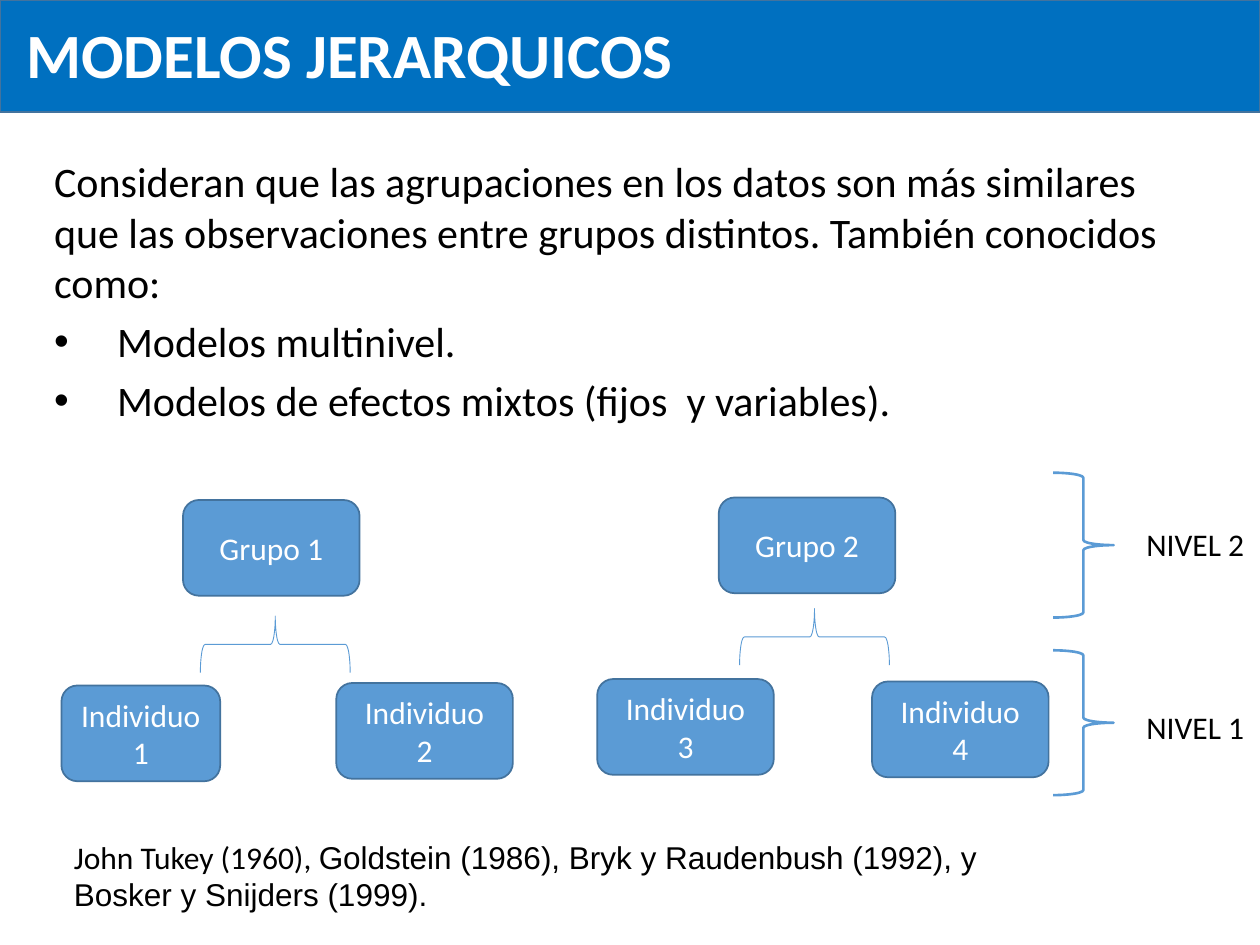
from dataclasses import dataclass
from typing import NamedTuple

from lxml import etree
from pptx import Presentation
from pptx.dml.color import RGBColor
from pptx.enum.shapes import MSO_SHAPE
from pptx.enum.text import MSO_ANCHOR, PP_ALIGN
from pptx.oxml.ns import qn
from pptx.util import Cm, Pt

RECT = MSO_SHAPE.RECTANGLE
ROUNDED = MSO_SHAPE.ROUNDED_RECTANGLE
BRACE = MSO_SHAPE.RIGHT_BRACE
MIDDLE, TOP = MSO_ANCHOR.MIDDLE, MSO_ANCHOR.TOP
CENTER, LEFT = PP_ALIGN.CENTER, PP_ALIGN.LEFT


@dataclass(frozen=True)
class Theme:
    band: RGBColor = RGBColor(0x00, 0x70, 0xC0)
    node: RGBColor = RGBColor(0x5B, 0x9B, 0xD5)
    edge: RGBColor = RGBColor(0x43, 0x73, 0x9E)
    light: RGBColor = RGBColor(0xFF, 0xFF, 0xFF)
    dark: RGBColor = RGBColor(0x00, 0x00, 0x00)
    title: Pt = Pt(36)
    body: Pt = Pt(24)
    label: Pt = Pt(18)
    font: str = "Calibri"
    reference_font: str = "Arial"


THEME = Theme()


class Box(NamedTuple):
    left: float
    top: float
    width: float
    height: float

    def inner(self, dx, dy, width, height):
        return Box(self.left + dx, self.top + dy, width, height)

    def lengths(self):
        return [Cm(value) for value in self]


def apply_format(target, values):
    for name, value in values.items():
        setattr(target, name, value)


def add_run(paragraph, wording, size, color, font=THEME.font, bold=False):
    run = paragraph.add_run()
    run.text = wording
    apply_format(run.font, {"name": font, "size": size, "bold": bold})
    run.font.color.rgb = color


def add_outline(slide, kind, box, line, weight, fill=None):
    outline = slide.shapes.add_shape(kind, *box.lengths())
    outline.shadow.inherit = False
    if fill is None:
        outline.fill.background()
    else:
        outline.fill.solid()
        outline.fill.fore_color.rgb = fill
    outline.line.color.rgb = line
    outline.line.width = Pt(weight)
    return outline


def add_text_frame(slide, box, anchor=TOP, wrap=True):
    frame = slide.shapes.add_textbox(*box.lengths()).text_frame
    apply_format(frame, {"word_wrap": wrap, "vertical_anchor": anchor})
    return frame


def add_bullet(paragraph, indent):
    properties = paragraph._p.get_or_add_pPr()
    properties.set("marL", str(indent))
    properties.set("indent", str(-indent))
    etree.SubElement(properties, qn("a:buFont")).set("typeface", "Arial")
    etree.SubElement(properties, qn("a:buChar")).set("char", "•")


def add_node(slide, box, wording):
    node = add_outline(slide, ROUNDED, box, THEME.edge, 1, THEME.node)
    apply_format(node.text_frame, {"word_wrap": True, "vertical_anchor": MIDDLE})
    paragraph = node.text_frame.paragraphs[0]
    paragraph.alignment = CENTER
    add_run(paragraph, wording, THEME.label, THEME.light)


def add_header(slide, box, wording):
    add_outline(slide, RECT, box, THEME.edge, 1, THEME.band)
    title_box = box.inner(0.28, -0.05, box.width - 0.28, box.height + 0.2)
    paragraph = add_text_frame(slide, title_box, MIDDLE).paragraphs[0]
    paragraph.line_spacing = 0.9
    add_run(paragraph, wording, THEME.title, THEME.light, bold=True)


def add_body(slide, box, intro, bullets):
    frame = add_text_frame(slide, box)
    for index, wording in enumerate([intro, *bullets]):
        paragraph = frame.add_paragraph() if index else frame.paragraphs[0]
        apply_format(paragraph, {"alignment": LEFT, "space_before": Pt(4.8)})
        if index:
            add_bullet(paragraph, Cm(1.27))
        add_run(paragraph, wording, THEME.body, THEME.dark)


def add_tree(slide, box, group, brace_place, individuals):
    node_width, node_height = 3.56, 1.93
    add_node(slide, box.inner(2.45, 0, node_width, node_height), group)
    brace_box = box.inner(*brace_place, 1.14, 3.02)
    add_outline(slide, BRACE, brace_box, THEME.node, 0.5).rotation = 270
    for column, (wording, dy, width) in enumerate(individuals):
        dx = column * (box.width - node_width)
        add_node(slide, box.inner(dx, dy, width, node_height), wording)


def add_level(slide, box, wording, label_dy):
    add_outline(slide, BRACE, box.inner(0, 0, 1.22, box.height), THEME.node, 1.5)
    label_box = box.inner(1.63, label_dy, box.width - 1.63, 1.02)
    paragraph = add_text_frame(slide, label_box, wrap=False).paragraphs[0]
    add_run(paragraph, wording, THEME.label, THEME.dark)


def add_references(slide, box, first, others):
    paragraph = add_text_frame(slide, box).paragraphs[0]
    add_run(paragraph, first, THEME.label, THEME.dark)
    add_run(paragraph, others, THEME.label, THEME.dark, THEME.reference_font)


def main():
    deck = Presentation()
    apply_format(deck, {"slide_width": Cm(25.4), "slide_height": Cm(19.05)})
    slide = deck.slides.add_slide(deck.slide_layouts[6])

    add_header(slide, Box(0, 0, 25.4, 2.26), "MODELOS JERARQUICOS")
    add_body(
        slide,
        Box(0.84, 3.02, 23.19, 2.34),
        "Consideran que las agrupaciones en los datos son más similares que las "
        "observaciones entre grupos distintos. También conocidos como:",
        ["Modelos multinivel.", "Modelos de efectos mixtos (fijos  y variables)."],
    )
    add_tree(
        slide, Box(1.24, 10.08, 9.1, 5.67), "Grupo 1", (3.74, 1.4),
        [("Individuo 1", 3.74, 3.2), ("Individuo 2", 3.69, 3.56)],
    )
    add_tree(
        slide, Box(12.04, 10.03, 9.1, 5.64), "Grupo 2", (3.81, 1.3),
        [("Individuo 3", 3.66, 3.56), ("Individuo 4", 3.71, 3.56)],
    )
    add_level(slide, Box(21.23, 9.53, 4.17, 2.92), "NIVEL 2", 0.93)
    add_level(slide, Box(21.23, 13.11, 4.17, 2.92), "NIVEL 1", 1.04)
    add_references(
        slide,
        Box(1.24, 16.76, 19.71, 1.8),
        "John Tukey (1960), ",
        "Goldstein (1986), Bryk y Raudenbush (1992), y Bosker y Snijders (1999).",
    )
    deck.save("out.pptx")


if __name__ == "__main__":
    main()
